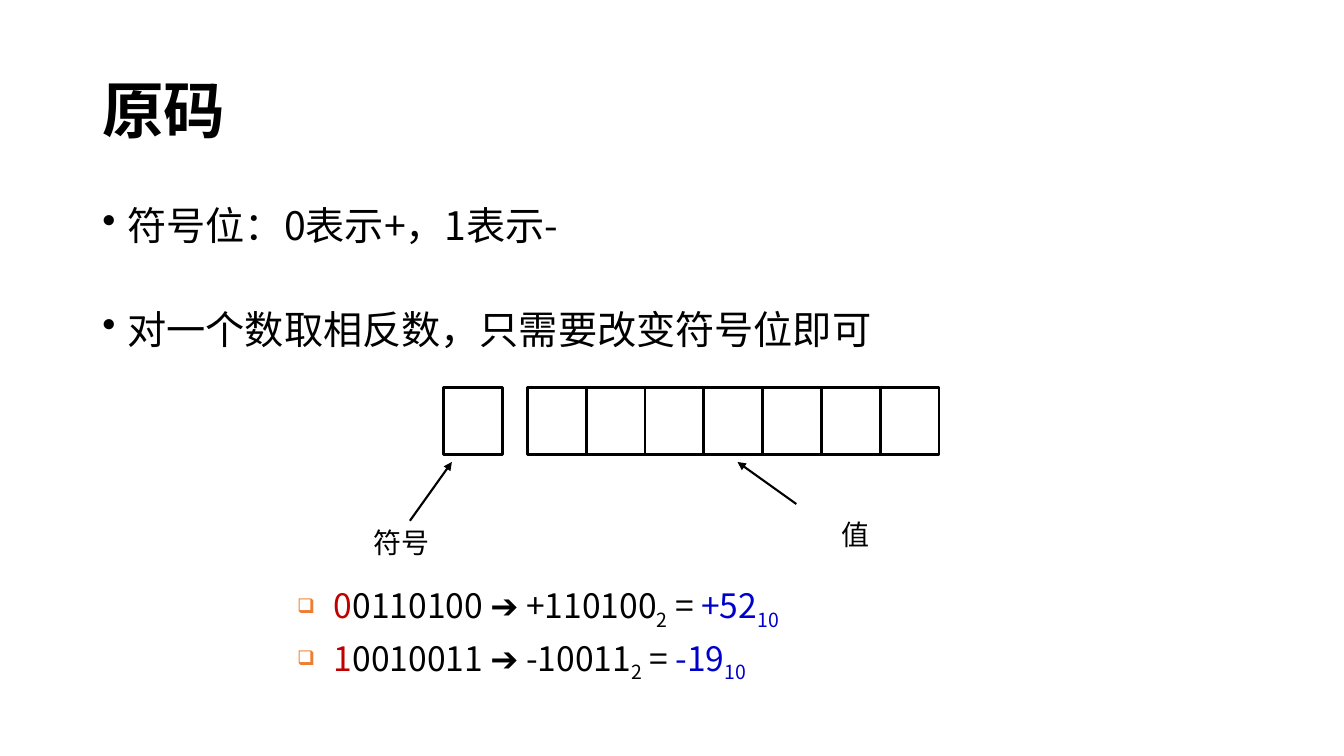
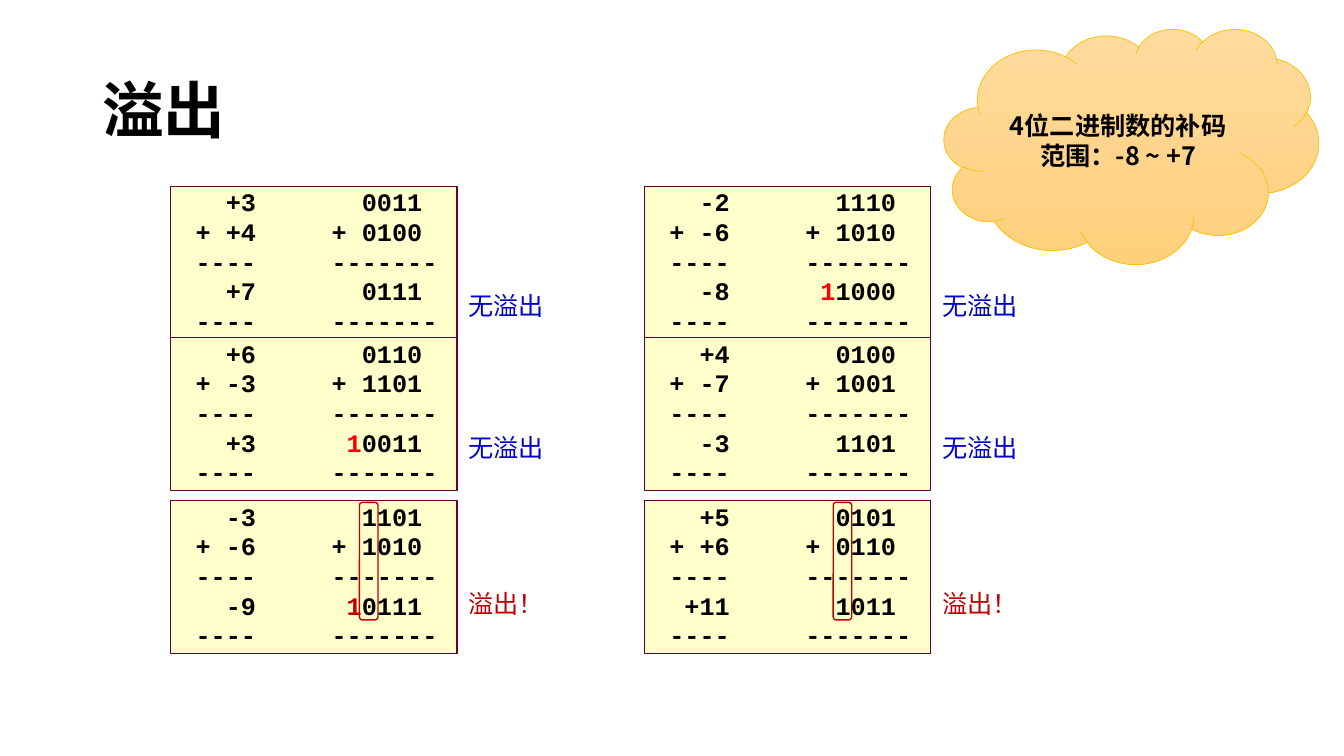
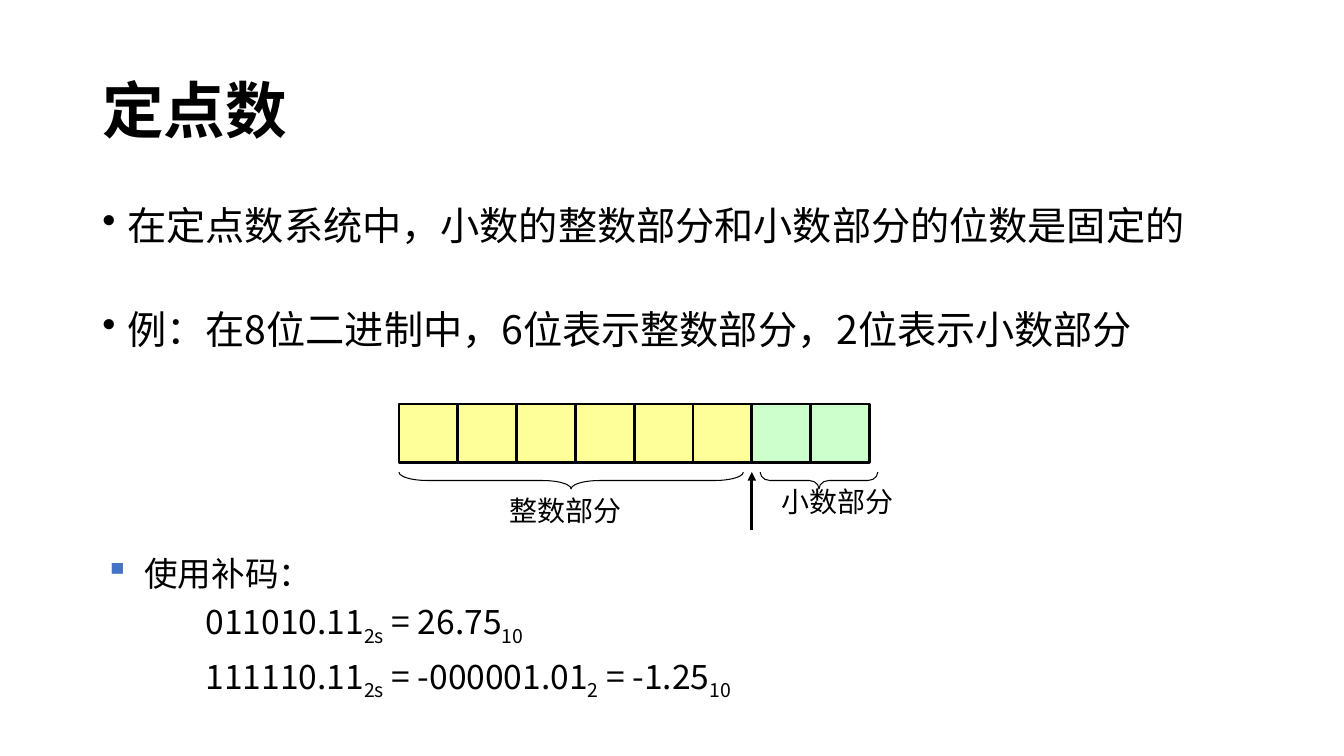
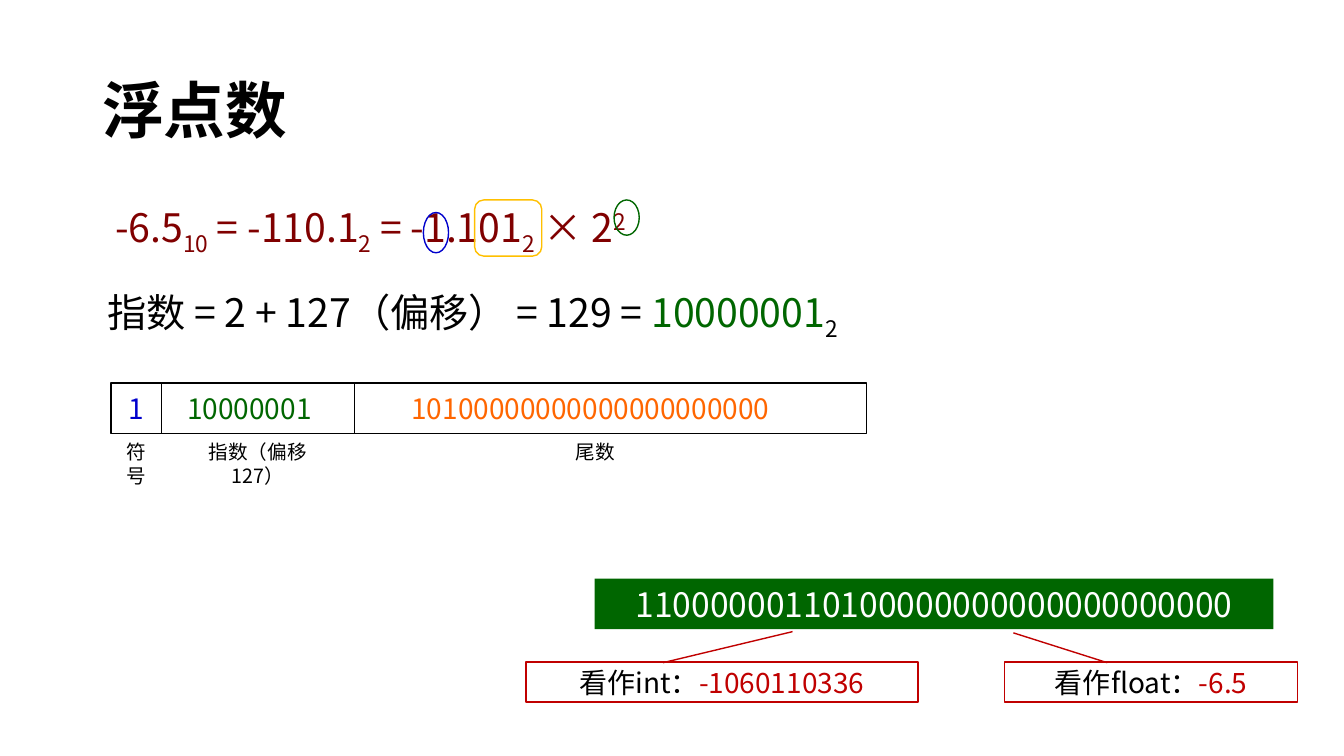
from dataclasses import dataclass
from typing import NamedTuple, Optional, Sequence, Union

from lxml import etree
from pptx import Presentation
from pptx.dml.color import RGBColor
from pptx.enum.shapes import MSO_CONNECTOR, MSO_SHAPE
from pptx.enum.text import MSO_ANCHOR, PP_ALIGN
from pptx.oxml.ns import qn
from pptx.util import Emu, Inches, Pt

# The grid has 80 columns and 45 rows; both measure one sixth of an inch.
UNIT = Inches(1) / 6
COLUMNS, ROWS = 80, 45

BLACK = RGBColor(0x00, 0x00, 0x00)
WHITE = RGBColor(0xFF, 0xFF, 0xFF)
BLUE = RGBColor(0x00, 0x00, 0xCC)
GREEN = RGBColor(0x00, 0x66, 0x00)
DARK_RED = RGBColor(0xC0, 0x00, 0x00)
CARRY_RED = RGBColor(0xFF, 0x00, 0x00)
MAROON = RGBColor(0x80, 0x00, 0x00)
PLUM = RGBColor(0x66, 0x00, 0x33)
ORANGE = RGBColor(0xFF, 0x66, 0x00)
GOLD = RGBColor(0xFF, 0xC0, 0x00)
CREAM = RGBColor(0xFF, 0xFF, 0xCC)
YELLOW = RGBColor(0xFF, 0xFF, 0x99)
MINT = RGBColor(0xCC, 0xFF, 0xCC)
CLOUD_TOP = RGBColor(0xFF, 0xDB, 0x9E)
CLOUD_BOTTOM = RGBColor(0xFF, 0xD0, 0x7C)
ORANGE_BULLET = RGBColor(0xED, 0x7D, 0x31)
BLUE_BULLET = RGBColor(0x44, 0x72, 0xC4)

SANS, MONO = "Noto Sans CJK SC", "Courier New"
LEFT, CENTER = PP_ALIGN.LEFT, PP_ALIGN.CENTER
TOP, MIDDLE = MSO_ANCHOR.TOP, MSO_ANCHOR.MIDDLE
RECTANGLE, ROUNDED = MSO_SHAPE.RECTANGLE, MSO_SHAPE.ROUNDED_RECTANGLE
OVAL, CLOUD = MSO_SHAPE.OVAL, MSO_SHAPE.CLOUD
BRACE, CALLOUT = MSO_SHAPE.LEFT_BRACE, MSO_SHAPE.LINE_CALLOUT_1
STRAIGHT = MSO_CONNECTOR.STRAIGHT

BIT_WIDTH = 3.5
CHARACTER = Pt(10.8)


class Box(NamedTuple):
    left: float
    top: float
    width: float
    height: float


class Span(NamedTuple):
    text: str
    colour: Optional[RGBColor] = None
    baseline: int = 0


class Bullet(NamedTuple):
    character: str
    indent: float
    left: float
    colour: Optional[RGBColor] = None
    percent: int = 100


Line = Sequence[Union[str, Span]]


@dataclass(frozen=True)
class Addition:
    """Decimal and binary columns of one sum; carry is the digit beyond four bits."""

    decimal: tuple[str, str, str]
    binary: tuple[str, str, str]
    carry: str = ""
    overflow: bool = False


@dataclass(frozen=True)
class Field:
    width: float
    value: str
    colour: RGBColor
    caption: str
    caption_width: float
    value_shift: float = 0
    caption_shift: float = 0


@dataclass(frozen=True)
class Reading:
    left: float
    width: float
    kind: str
    value: str
    pointer: tuple[float, float]


DOT = Bullet("•", 1.5, 1.5)
SQUARE = Bullet("❑", 2.18, 4.38, ORANGE_BULLET, 60)
SMALL_SQUARE = Bullet("▪", 2.35, 2.35, BLUE_BULLET)


def grid(length: float) -> Emu:
    return Emu(round(length * UNIT))


def subscript(text: str, colour: Optional[RGBColor] = None) -> Span:
    return Span(text, colour, -25)


def add_child(parent, tag: str, **attributes: str):
    return etree.SubElement(parent, qn(tag), attributes)


def set_bullet(properties, bullet: Bullet) -> None:
    properties.set("marL", str(grid(bullet.left)))
    properties.set("indent", str(-grid(bullet.indent)))
    if bullet.colour is not None:
        add_child(add_child(properties, "a:buClr"), "a:srgbClr", val=str(bullet.colour))
    add_child(properties, "a:buSzPct", val=str(bullet.percent * 1000))
    add_child(properties, "a:buChar", char=bullet.character)


def set_right_tabs(properties, stops: Sequence[int]) -> None:
    tabs = add_child(properties, "a:tabLst")
    for stop in stops:
        add_child(tabs, "a:tab", pos=str(stop * CHARACTER), algn="r")


def write_line(paragraph, line: Line, *, size: float = 20, colour: RGBColor = BLACK,
               bold: bool = False, font: str = SANS, align=LEFT,
               spacing: Optional[float] = None, before: float = 0,
               bullet: Optional[Bullet] = None, indent: float = 0,
               tabs: Sequence[int] = ()) -> None:
    paragraph.alignment = align
    paragraph.space_before = Pt(before)
    if spacing:
        paragraph.line_spacing = spacing
    properties = paragraph._p.get_or_add_pPr()
    if indent:
        properties.set("marL", str(grid(indent)))
    if bullet:
        set_bullet(properties, bullet)
    if tabs:
        set_right_tabs(properties, tabs)
    for part in line:
        span = Span(part) if isinstance(part, str) else part
        run = paragraph.add_run()
        run.text = span.text
        run.font.size = Pt(size)
        run.font.bold = bold
        run.font.name = font
        run.font.color.rgb = span.colour or colour
        run_properties = run._r.get_or_add_rPr()
        add_child(run_properties, "a:ea", typeface=font)
        if span.baseline:
            run_properties.set("baseline", str(span.baseline * 1000))


def next_paragraph(shape):
    """Give the first paragraph while it is unused, and a new one afterwards."""
    frame = shape.text_frame
    first = frame.paragraphs[0]
    return frame.add_paragraph() if first.runs else first


def write(shape, *lines: Line, anchor=TOP, **text_format) -> None:
    shape.text_frame.word_wrap = True
    shape.text_frame.vertical_anchor = anchor
    for line in lines:
        write_line(next_paragraph(shape), line, **text_format)


def add_text(slide, box: Box, *lines: Line, **text_format):
    shape = slide.shapes.add_textbox(*map(grid, box))
    write(shape, *lines, **text_format)
    return shape


def add_figure(slide, kind, box: Box, *, fill: Optional[RGBColor] = None,
               line: Optional[RGBColor] = BLACK, weight: float = 1):
    shape = slide.shapes.add_shape(kind, *map(grid, box))
    shape.shadow.inherit = False
    if fill is None:
        shape.fill.background()
    else:
        shape.fill.solid()
        shape.fill.fore_color.rgb = fill
    if line is None:
        shape.line.fill.background()
    else:
        shape.line.color.rgb = line
        shape.line.width = Pt(weight)
    return shape


def add_arrow(slide, start: tuple[float, float], end: tuple[float, float],
              weight: float = 1.5) -> None:
    connector = slide.shapes.add_connector(STRAIGHT, *map(grid, start + end))
    connector.line.color.rgb = BLACK
    connector.line.width = Pt(weight)
    add_child(connector.line._get_or_add_ln(), "a:tailEnd", type="triangle")
    add_child(connector._element.spPr, "a:effectLst")


def add_bits(slide, left: float, top: float, height: float,
             fills: Sequence[Optional[RGBColor]]) -> None:
    for index, fill in enumerate(fills):
        box = Box(left + index * BIT_WIDTH, top, BIT_WIDTH, height)
        add_figure(slide, RECTANGLE, box, fill=fill, weight=2)


def add_brace(slide, left: float, top: float, width: float) -> None:
    """Draw a brace one row high that opens upwards."""
    box = Box(left + width / 2 - 0.5, top + 0.5 - width / 2, 1, width)
    brace = add_figure(slide, BRACE, box, weight=0.75)
    brace.rotation = 270
    brace.adjustments[0] = width / 12


def new_slide(presentation, title: str):
    slide = presentation.slides.add_slide(presentation.slide_layouts[6])
    add_text(slide, Box(5.5, 2.4, 69, 8.7), [title], size=44, bold=True,
             spacing=0.9, anchor=MIDDLE)
    return slide


def add_points(slide, *points: str) -> None:
    add_text(slide, Box(5.5, 12, 69, 28.5), *([point] for point in points),
             size=28, spacing=0.9, before=44, bullet=DOT)


def build_sign_magnitude(presentation) -> None:
    slide = new_slide(presentation, "原码")
    add_points(slide, "符号位：0表示+，1表示-", "对一个数取相反数，只需要改变符号位即可")
    add_bits(slide, 26.4, 23.05, 4, [None])
    add_bits(slide, 31.4, 23.05, 4, [None] * 7)
    add_arrow(slide, (24.4, 31), (26.9, 27.5))
    add_arrow(slide, (47.4, 30), (43.9, 27.5))
    add_text(slide, Box(20.9, 31, 6, 2.6), ["符号"], align=CENTER)
    add_text(slide, Box(46.4, 30.5, 9, 2.6), ["值"], align=CENTER)
    examples = [("0", "0110100 ➔ +110100", "+52"), ("1", "0010011 ➔ -10011", "-19")]
    lines = [[Span(sign, DARK_RED), bits, subscript("2"), " = ",
              Span(value, BLUE), subscript("10", BLUE)]
             for sign, bits, value in examples]
    add_text(slide, Box(14.9, 34.55, 54, 6), *lines, size=24, before=4.8, bullet=SQUARE)


def add_addition(slide, addition: Addition, left: float, top: float,
                 verdict_top: float) -> None:
    width = 17.05
    card = add_figure(slide, RECTANGLE, Box(left, top, width, 9.1), fill=CREAM, line=PLUM)
    decimals, binaries = addition.decimal, addition.binary
    carry = Span(addition.carry, DARK_RED if addition.overflow else CARRY_RED)
    rule = ["\t----\t-------"]
    lines = [
        [f"\t{decimals[0]}\t{binaries[0]}"],
        [f"\t+ {decimals[1]}\t+ {binaries[1]}"],
        rule,
        [f"\t{decimals[2]}\t", *([carry] if addition.carry else []), binaries[2]],
        rule,
    ]
    for line in lines:
        write(card, line, size=18, bold=True, font=MONO, spacing=0.85, before=2.8,
              tabs=(5, 17 if line is rule else 16))
    verdict, colour = ("溢出！", DARK_RED) if addition.overflow else ("无溢出", BLUE)
    add_text(slide, Box(left + width + 0.1, verdict_top, 10, 2.4), [verdict],
             size=18, colour=colour)
    if addition.overflow:
        add_figure(slide, ROUNDED, Box(left + 11.25, top + 0.1, 1.1, 7), line=DARK_RED)


def build_overflow(presentation) -> None:
    slide = new_slide(presentation, "溢出")
    card_columns = (10.15, 38.35)
    card_rows = ((11.1, 17), (20.1, 25.45), (29.8, 34.7))
    additions = [
        [Addition(("+3", "+4", "+7"), ("0011", "0100", "0111")),
         Addition(("-2", "-6", "-8"), ("1110", "1010", "1000"), "1")],
        [Addition(("+6", "-3", "+3"), ("0110", "1101", "0011"), "1"),
         Addition(("+4", "-7", "-3"), ("0100", "1001", "1101"))],
        [Addition(("-3", "-6", "-9"), ("1101", "1010", "0111"), "1", overflow=True),
         Addition(("+5", "+6", "+11"), ("0101", "0110", "1011"), overflow=True)],
    ]
    for (top, verdict_top), pair in zip(card_rows, additions):
        for left, addition in zip(card_columns, pair):
            add_addition(slide, addition, left, top, verdict_top)
    cloud = add_figure(slide, CLOUD, Box(56.2, 1.7, 22.3, 14), line=GOLD, weight=0.5)
    cloud.fill.gradient()
    cloud.fill.gradient_angle = 270
    for stop, colour in zip(cloud.fill.gradient_stops, (CLOUD_TOP, CLOUD_BOTTOM)):
        stop.color.rgb = colour
    write(cloud, ["4位二进制数的补码范围：-8 ~ +7"], size=18, bold=True,
          align=CENTER, anchor=MIDDLE)


def build_fixed_point(presentation) -> None:
    slide = new_slide(presentation, "定点数")
    add_points(slide, "在定点数系统中，小数的整数部分和小数部分的位数是固定的",
               "例：在8位二进制中，6位表示整数部分，2位表示小数部分")
    add_bits(slide, 23.75, 24.05, 3.5, [YELLOW] * 6 + [MINT] * 2)
    add_brace(slide, 23.75, 28.1, 20.5)
    add_brace(slide, 45.25, 28.1, 7)
    add_arrow(slide, (44.75, 31.55), (44.75, 28.1), weight=2)
    add_text(slide, Box(28.75, 29.1, 9.8, 2.6), ["整数部分"], align=CENTER)
    add_text(slide, Box(44.75, 28.55, 10.25, 2.6), ["小数部分"], align=CENTER)
    notes = add_text(slide, Box(5.65, 32.6, 54, 9.1), ["使用补码："],
                     size=24, before=6, bullet=SMALL_SQUARE)
    write(notes,
          ["011010.11", subscript("2s"), " = 26.75", subscript("10")],
          ["111110.11", subscript("2s"), " = -000001.01", subscript("2"),
           " = -1.25", subscript("10")],
          size=24, before=6, indent=6)


def add_fields(slide, fields: Sequence[Field], left: float, top: float) -> None:
    for field in fields:
        add_figure(slide, RECTANGLE, Box(left, top, field.width, 3))
        add_text(slide, Box(left + field.value_shift, top + 0.2, field.width, 2.6),
                 [field.value], colour=field.colour, align=CENTER)
        caption_left = left + (field.width - field.caption_width) / 2 + field.caption_shift
        add_text(slide, Box(caption_left, top + 3.1, field.caption_width, 2),
                 [field.caption], size=14, align=CENTER)
        left += field.width


def build_floating_point(presentation) -> None:
    slide = new_slide(presentation, "浮点数")
    add_text(slide, Box(5.3, 11.8, 33.5, 3.4),
             ["-6.5", subscript("10"), " = -110.1", subscript("2"), " = -1.101",
              subscript("2"), " × 2", Span("2", baseline=30)],
             size=28, colour=MAROON, align=CENTER)
    add_figure(slide, OVAL, Box(25.2, 12.65, 1.5, 2.4), line=BLUE)
    add_figure(slide, OVAL, Box(36.55, 11.9, 1.5, 2.1), line=GREEN)
    add_figure(slide, ROUNDED, Box(28.25, 11.9, 4, 3.35), line=GOLD)
    add_text(slide, Box(5.8, 16.9, 47, 4.2),
             ["指数 = 2 + 127（偏移） = 129 = ", Span("10000001", GREEN), subscript("2")],
             size=28, spacing=0.9)
    add_fields(slide, [
        Field(3, "1", BLUE, "符号", 3.5),
        Field(11.5, "10000001", GREEN, "指数（偏移127）", 9.5, value_shift=-0.5),
        Field(30.5, "10100000000000000000000", ORANGE, "尾数", 7.7, -1.2, -0.9),
    ], 6.6, 22.8)

    word = add_figure(slide, RECTANGLE, Box(35.4, 34.45, 40.4, 3), fill=GREEN, line=None)
    write(word, ["11000000110100000000000000000000"], size=24, colour=WHITE,
          align=CENTER, anchor=MIDDLE)
    readings = [Reading(31.3, 23.35, "int", "-1060110336", (-0.75, 0.68)),
                Reading(59.8, 17.45, "float", "-6.5", (-0.72, 0.03))]
    for reading in readings:
        callout = add_figure(slide, CALLOUT, Box(reading.left, 39.4, reading.width, 2.4),
                             line=DARK_RED)
        for index, value in enumerate((0.02, 0.35, *reading.pointer)):
            callout.adjustments[index] = value
        write(callout, [f"看作{reading.kind}：", Span(reading.value, DARK_RED)],
              align=CENTER, anchor=MIDDLE)


def main() -> None:
    presentation = Presentation()
    presentation.slide_width = grid(COLUMNS)
    presentation.slide_height = grid(ROWS)
    build_sign_magnitude(presentation)
    build_overflow(presentation)
    build_fixed_point(presentation)
    build_floating_point(presentation)
    presentation.save("out.pptx")


if __name__ == "__main__":
    main()
